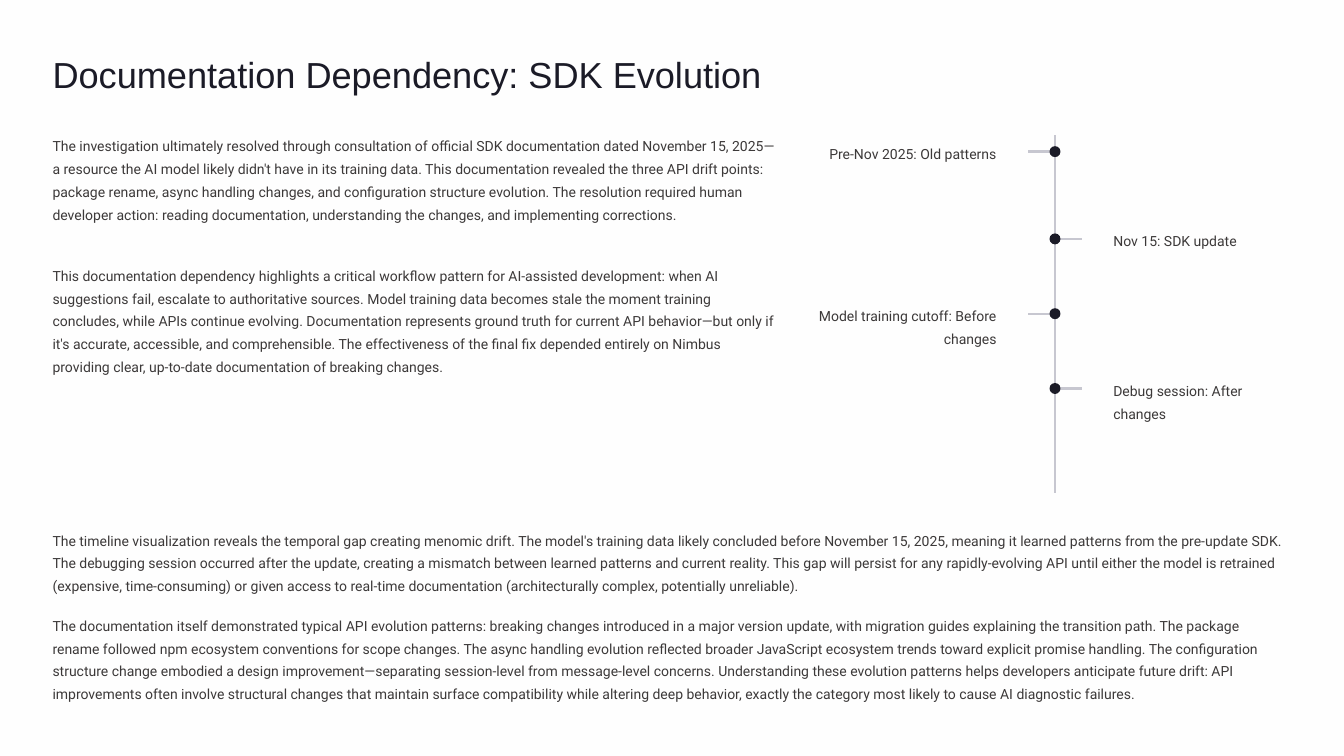
import pptx
import pptx.util
import pptx.dml.color
import pptx.enum.shapes
import pptx.enum.text
import pptx.oxml

Pt = pptx.util.Pt
ALIGN = pptx.enum.text.PP_ALIGN
COLORS = {"background": "FEFEFE", "title": "1B1B27", "body": "3C3939", "line": "C7C7D0"}


def write_text(shape, box, text, size, spacing, font, color, align=ALIGN.LEFT, wrap=True):
    shape.left, shape.top, shape.width, shape.height = [Pt(length) for length in box]
    frame = shape.text_frame
    frame.margin_left = frame.margin_right = frame.margin_top = frame.margin_bottom = 0
    frame.vertical_anchor = pptx.enum.text.MSO_ANCHOR.TOP
    frame.auto_size = pptx.enum.text.MSO_AUTO_SIZE.NONE
    frame.word_wrap = wrap
    paragraph = frame.paragraphs[0]
    paragraph.alignment = align
    paragraph.line_spacing = Pt(spacing)
    run = paragraph.add_run()
    run.text = text
    run.font.name = font
    run.font.size = Pt(size)
    run.font.color.rgb = pptx.dml.color.RGBColor.from_string(COLORS[color])


def add_line(x1, y1, x2, y2):
    line = slide.shapes.add_connector(
        pptx.enum.shapes.MSO_CONNECTOR.STRAIGHT, Pt(x1), Pt(y1), Pt(x2), Pt(y2))
    line.line.width = Pt(2)
    line.line.color.rgb = pptx.dml.color.RGBColor.from_string(COLORS["line"])
    line._element.spPr.append(pptx.oxml.parse_xml(
        '<a:effectLst xmlns:a="http://schemas.openxmlformats.org/drawingml/2006/main"/>'))


presentation = pptx.Presentation()
presentation.slide_width = Pt(1152)
presentation.slide_height = Pt(648)
slide = presentation.slides.add_slide(presentation.slide_layouts[5])
slide.background.fill.solid()
slide.background.fill.fore_color.rgb = pptx.dml.color.RGBColor.from_string(COLORS["background"])

margin = 45
write_text(slide.shapes.title, (margin, 44, 657, 39), "Documentation Dependency: SDK Evolution",
           31, 38.5, "Arial", "title", wrap=False)

column_width = 625
full_width = 1062
passages = [
    (113, column_width, 99, "The investigation ultimately resolved through consultation of official SDK documentation dated November 15, 2025—a resource the AI model likely didn't have in its training data. This documentation revealed the three API drift points: package rename, async handling changes, and configuration structure evolution. The resolution required human developer action: reading documentation, understanding the changes, and implementing corrections."),
    (224, column_width, 99, "This documentation dependency highlights a critical workflow pattern for AI-assisted development: when AI suggestions fail, escalate to authoritative sources. Model training data becomes stale the moment training concludes, while APIs continue evolving. Documentation represents ground truth for current API behavior—but only if it's accurate, accessible, and comprehensible. The effectiveness of the final fix depended entirely on Nimbus providing clear, up-to-date documentation of breaking changes."),
    (451, full_width, 60, "The timeline visualization reveals the temporal gap creating menomic drift. The model's training data likely concluded before November 15, 2025, meaning it learned patterns from the pre-update SDK. The debugging session occurred after the update, creating a mismatch between learned patterns and current reality. This gap will persist for any rapidly-evolving API until either the model is retrained (expensive, time-consuming) or given access to real-time documentation (architecturally complex, potentially unreliable)."),
    (524, full_width, 80, "The documentation itself demonstrated typical API evolution patterns: breaking changes introduced in a major version update, with migration guides explaining the transition path. The package rename followed npm ecosystem conventions for scope changes. The async handling evolution reflected broader JavaScript ecosystem trends toward explicit promise handling. The configuration structure change embodied a design improvement—separating session-level from message-level concerns. Understanding these evolution patterns helps developers anticipate future drift: API improvements often involve structural changes that maintain surface compatibility while altering deep behavior, exactly the category most likely to cause AI diagnostic failures."),
]
for top, width, height, text in passages:
    write_text(slide.shapes.add_textbox(0, 0, 0, 0), (margin, top, width, height), text,
               12, 19.5, "Roboto", "body")

axis_x = 904.3
tick_length = 23
dot_size = 9.4
label_width = 153
label_gap = 50
add_line(axis_x, 116, axis_x, 422.5)

events = [
    (130, "Pre-Nov 2025: Old patterns", 20),
    (204.8, "Nov 15: SDK update", 20),
    (268.9, "Model training cutoff: Before changes", 40),
    (333, "Debug session: After changes", 40),
]
for index, (y, label, height) in enumerate(events):
    on_left = index % 2 == 0
    side = -1 if on_left else 1
    add_line(axis_x, y, axis_x + side * tick_length, y)
    dot = slide.shapes.add_shape(
        pptx.enum.shapes.MSO_SHAPE.OVAL, Pt(axis_x - dot_size / 2), Pt(y - dot_size / 2),
        Pt(dot_size), Pt(dot_size))
    dot.shadow.inherit = False
    dot.fill.solid()
    dot.fill.fore_color.rgb = pptx.dml.color.RGBColor.from_string(COLORS["title"])
    dot.line.fill.background()
    label_left = axis_x - label_gap - label_width if on_left else axis_x + label_gap
    write_text(slide.shapes.add_textbox(0, 0, 0, 0), (label_left, y - 10.4, label_width, height),
               label, 12, 19.5, "Roboto", "body", ALIGN.RIGHT if on_left else ALIGN.LEFT)

presentation.save("out.pptx")
